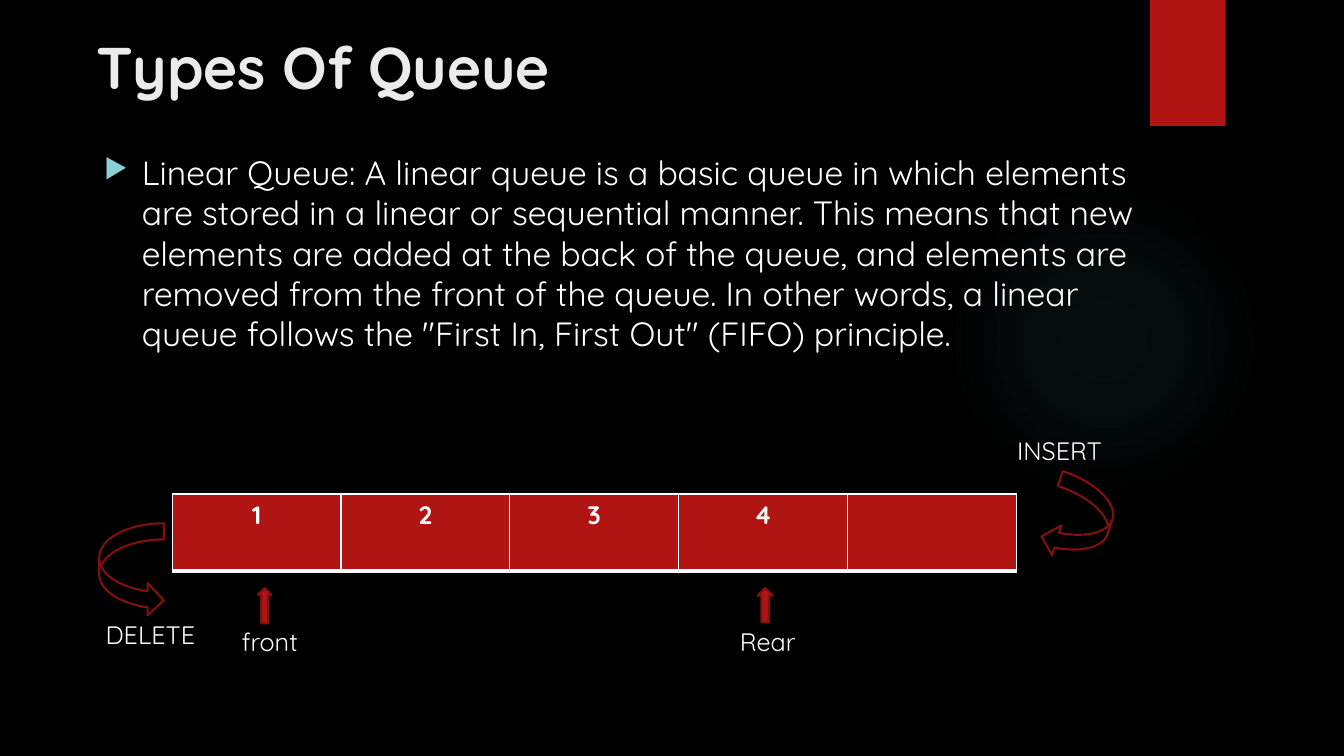
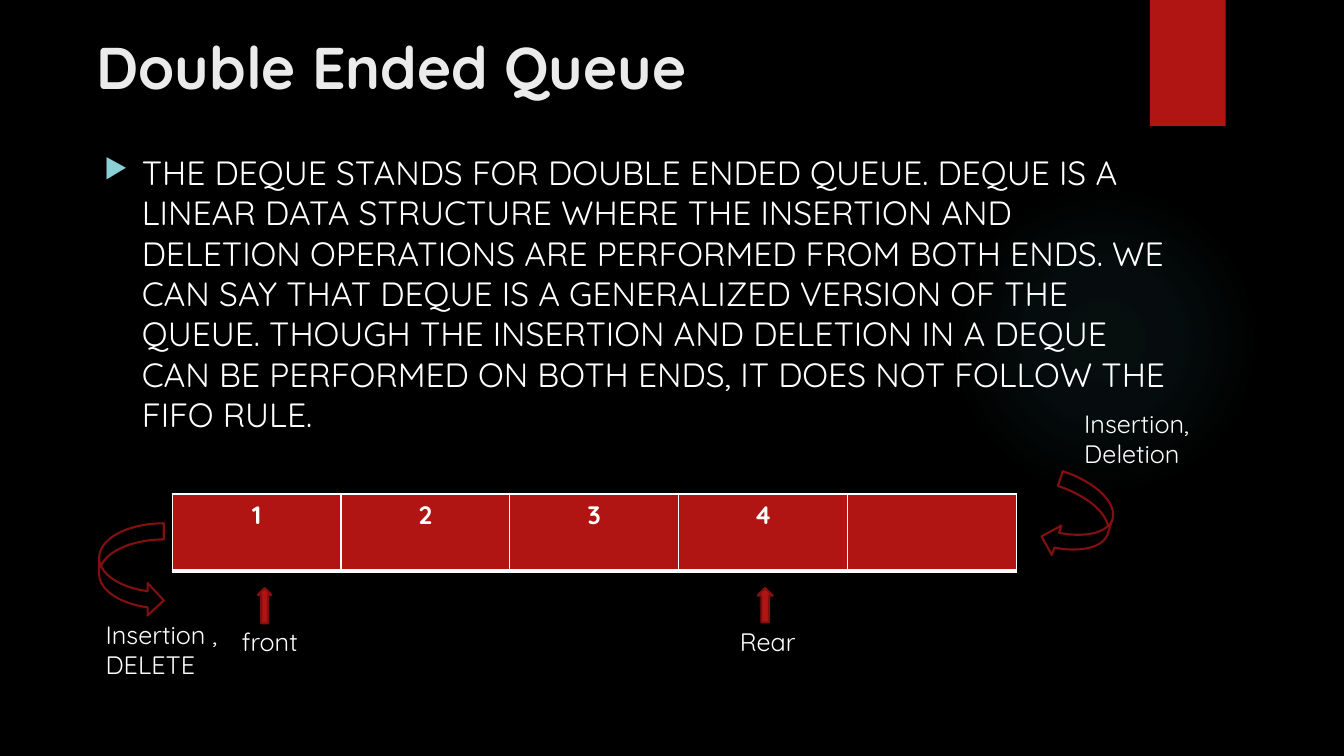
from dataclasses import dataclass

from lxml.etree import SubElement
from pptx import Presentation
from pptx.dml.color import RGBColor
from pptx.enum.shapes import MSO_SHAPE
from pptx.enum.text import MSO_AUTO_SIZE, PP_ALIGN
from pptx.oxml import parse_xml
from pptx.oxml.ns import nsdecls, qn
from pptx.shapes.autoshape import Shape
from pptx.slide import Slide
from pptx.text.text import TextFrame
from pptx.util import Emu, Pt

COLS, ROWS = 160, 90  # square grid, twelve units to the inch
UNIT = 76200

BLACK, WHITE, TITLE_COLOR = "000000", "FFFFFF", "EBEBEB"
RED, DARK_RED = "B01513", "82100E"
GLOW_COLOR, BULLET_COLOR = "50B9C1", "8AD0D6"
FONT = "Quicksand"


@dataclass(frozen=True)
class Box:
    x: float
    y: float
    w: float
    h: float

    def emu(self) -> tuple[Emu, Emu, Emu, Emu]:
        return grid(self.x), grid(self.y), grid(self.w), grid(self.h)


@dataclass(frozen=True)
class Label:
    text: str
    box: Box


@dataclass(frozen=True)
class Arrow:
    kind: MSO_SHAPE
    box: Box
    fill: str
    rotation: float = 0
    flipped: bool = False


@dataclass(frozen=True)
class QueueSlide:
    title: str
    body: str
    end_labels: tuple[Label, ...]


GLOW = Box(112.9, 22, 37, 37)
BANNER = Box(136.9, 0, 9, 15)
TITLE = Box(10.3, 3.1, 123.5, 18.4)
BODY = Box(11.2, 17.5, 130.2, 69.5)
QUEUE = Box(20.5, 58.8, 100.5, 9.2)
QUEUE_ITEMS = ("1", "2", "3", "4", "")

ARROWS = (
    Arrow(MSO_SHAPE.CURVED_RIGHT_ARROW, Box(11.8, 62.3, 7.7, 11.1), BLACK),
    Arrow(MSO_SHAPE.CURVED_RIGHT_ARROW, Box(124.8, 57, 7.4, 10), BLACK, 18, True),
    Arrow(MSO_SHAPE.UP_ARROW, Box(30.7, 70, 1.6, 4.2), RED),
    Arrow(MSO_SHAPE.UP_ARROW, Box(90.2, 70, 1.8, 4.1), RED),
)
POINTER_LABELS = (
    Label("front", Box(27.6, 74, 12.5, 4.8)),
    Label("Rear", Box(86.9, 74, 12.5, 4.8)),
)

SLIDES = (
    QueueSlide(
        "Types Of Queue",
        "Linear Queue: A linear queue is a basic queue in which elements are stored "
        "in a linear or sequential manner. This means that new elements are added at "
        "the back of the queue, and elements are removed from the front of the queue. "
        'In other words, a linear queue follows the "First In, First Out" (FIFO) '
        "principle.",
        (
            Label("DELETE", Box(11.4, 73.1, 20.9, 4.8)),
            Label("INSERT", Box(119.9, 51.2, 20.9, 4.8)),
        ),
    ),
    QueueSlide(
        "Double Ended Queue",
        "THE DEQUE STANDS FOR DOUBLE ENDED QUEUE. DEQUE IS A LINEAR DATA STRUCTURE "
        "WHERE THE INSERTION AND DELETION OPERATIONS ARE PERFORMED FROM BOTH ENDS. "
        "WE CAN SAY THAT DEQUE IS A GENERALIZED VERSION OF THE QUEUE. THOUGH THE "
        "INSERTION AND DELETION IN A DEQUE CAN BE PERFORMED ON BOTH ENDS, IT DOES "
        "NOT FOLLOW THE FIFO RULE.",
        (
            Label("Insertion , DELETE", Box(11.4, 73.1, 20.9, 8.5)),
            Label("Insertion, Deletion", Box(127.9, 48, 20.9, 8.5)),
        ),
    ),
)


def grid(units: float) -> Emu:
    return Emu(round(units * UNIT))


def rgb(value: str) -> RGBColor:
    return RGBColor.from_string(value)


def write(tf: TextFrame, text: str, size: float, color: str = WHITE,
          bold: bool = False) -> None:
    tf.text = text
    for r in tf.paragraphs[0].runs:
        r.font.name, r.font.size, r.font.bold = FONT, Pt(size), bold
        r.font.color.rgb = rgb(color)


def add_text(s: Slide, box: Box, text: str, size: float, color: str = WHITE,
             bold: bool = False) -> TextFrame:
    tf = s.shapes.add_textbox(*box.emu()).text_frame
    tf.word_wrap = True
    write(tf, text, size, color, bold)
    return tf


def add_shape(s: Slide, kind: MSO_SHAPE, box: Box, fill: str) -> Shape:
    sp = s.shapes.add_shape(kind, *box.emu())
    sp.shadow.inherit = False
    sp.fill.solid()
    sp.fill.fore_color.rgb = rgb(fill)
    sp.line.fill.background()
    return sp


def add_glow(s: Slide) -> None:
    """Draw a soft round light that fades out towards its rim."""
    sp = add_shape(s, MSO_SHAPE.OVAL, GLOW, GLOW_COLOR)
    stops = "".join(
        f'<a:gs pos="{pos * 1000}"><a:srgbClr val="{GLOW_COLOR}">'
        f'<a:alpha val="{alpha * 1000}"/></a:srgbClr></a:gs>'
        for pos, alpha in ((0, 7), (36, 6), (69, 0))
    )
    gradient = parse_xml(
        f'<a:gradFill {nsdecls("a")} rotWithShape="1"><a:gsLst>{stops}</a:gsLst>'
        '<a:path path="circle"><a:fillToRect l="50000" t="50000" r="50000" '
        'b="50000"/></a:path></a:gradFill>'
    )
    props = sp._element.spPr
    props.replace(props.find(qn("a:solidFill")), gradient)


def add_body(s: Slide, text: str) -> None:
    p = add_text(s, BODY, text, 24).paragraphs[0]
    p.space_before = Pt(10)
    props = p._p.get_or_add_pPr()
    indent = grid(4.5)
    props.set("marL", str(indent))
    props.set("indent", str(-indent))
    color = SubElement(props, qn("a:buClr"))
    SubElement(color, qn("a:srgbClr"), val=BULLET_COLOR)
    SubElement(props, qn("a:buSzPct"), val="80000")
    SubElement(props, qn("a:buChar"), char="▶")


def add_queue(s: Slide) -> None:
    table = s.shapes.add_table(1, len(QUEUE_ITEMS), *QUEUE.emu()).table
    for column, item in enumerate(QUEUE_ITEMS):
        table.columns[column].width = grid(QUEUE.w / len(QUEUE_ITEMS))
        cell = table.cell(0, column)
        write(cell.text_frame, item, 18, bold=True)
        cell.text_frame.paragraphs[0].alignment = PP_ALIGN.CENTER
        props = cell._tc.get_or_add_tcPr()
        for side, width in (("L", 1), ("R", 1), ("T", 1), ("B", 3)):
            ln = SubElement(props, qn(f"a:ln{side}"), w=str(Pt(width)))
            SubElement(SubElement(ln, qn("a:solidFill")), qn("a:srgbClr"), val=WHITE)
        cell.fill.solid()
        cell.fill.fore_color.rgb = rgb(RED)


def add_arrow(s: Slide, arrow: Arrow) -> None:
    sp = add_shape(s, arrow.kind, arrow.box, arrow.fill)
    sp.line.color.rgb = rgb(DARK_RED)
    sp.line.width = Pt(1.5)
    sp.rotation = arrow.rotation
    if arrow.flipped:
        sp._element.spPr.find(qn("a:xfrm")).set("flipH", "1")


def add_label(s: Slide, label: Label) -> None:
    tf = add_text(s, label.box, label.text, 18)
    tf.auto_size = MSO_AUTO_SIZE.SHAPE_TO_FIT_TEXT


def add_queue_slide(prs: Presentation, content: QueueSlide) -> None:
    s = prs.slides.add_slide(prs.slide_layouts[6])
    s.background.fill.solid()
    s.background.fill.fore_color.rgb = rgb(BLACK)
    add_glow(s)
    add_shape(s, MSO_SHAPE.RECTANGLE, BANNER, RED)
    add_text(s, TITLE, content.title, 42, TITLE_COLOR, bold=True)
    add_body(s, content.body)
    add_queue(s)
    for arrow in ARROWS:
        add_arrow(s, arrow)
    for label in content.end_labels + POINTER_LABELS:
        add_label(s, label)


def main() -> None:
    prs = Presentation()
    prs.slide_width, prs.slide_height = grid(COLS), grid(ROWS)
    for content in SLIDES:
        add_queue_slide(prs, content)
    prs.save("out.pptx")


if __name__ == "__main__":
    main()
